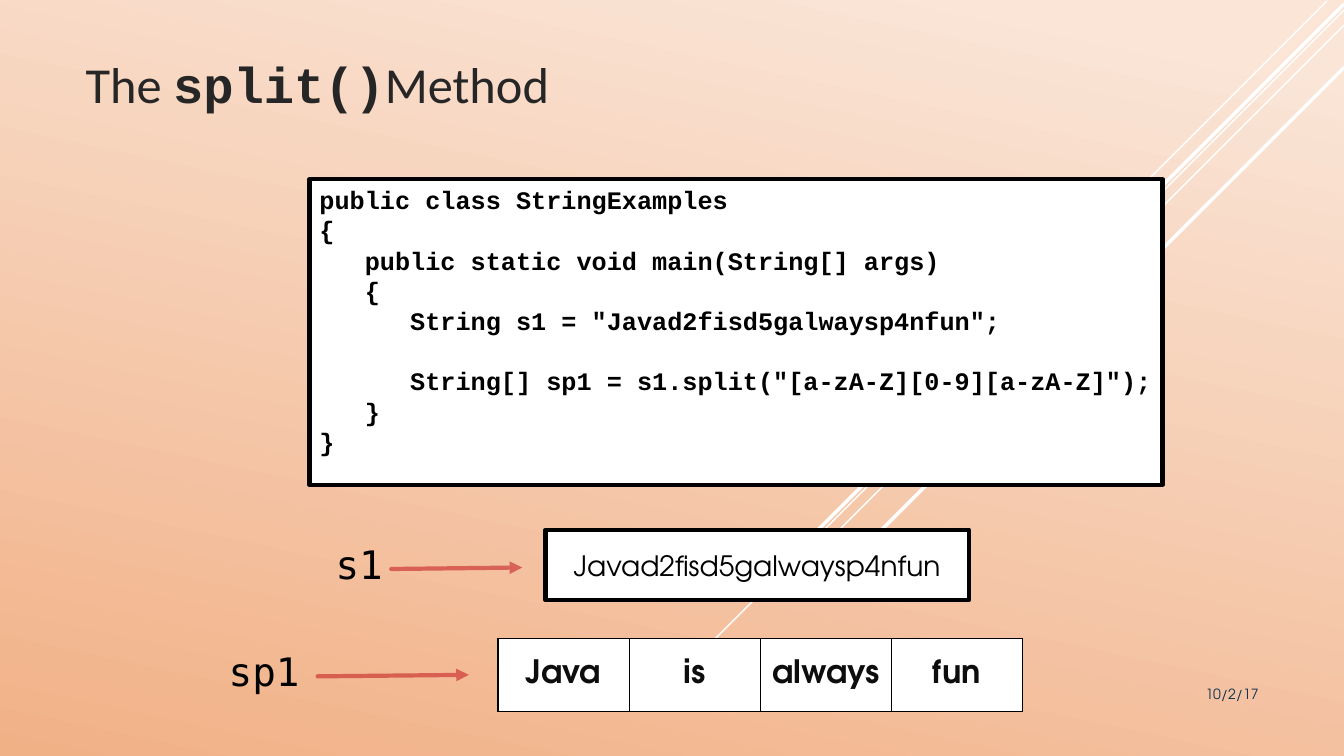
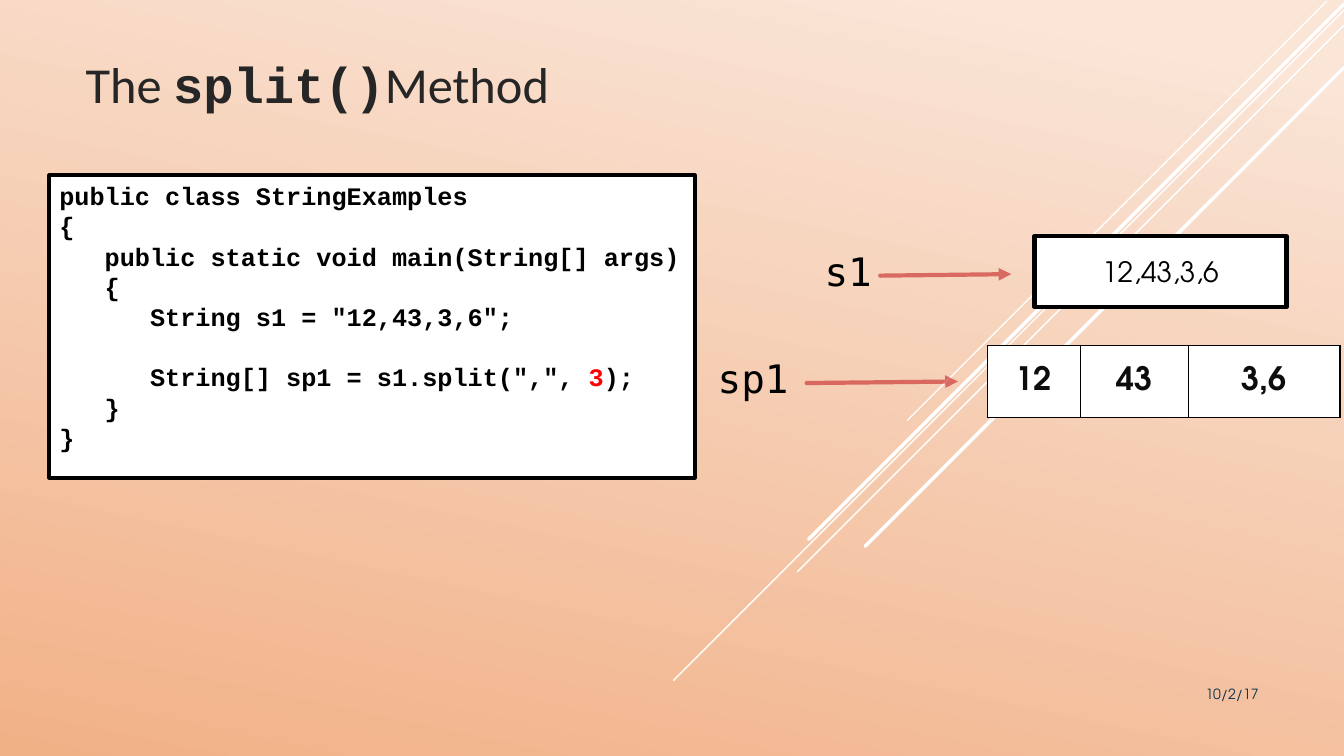
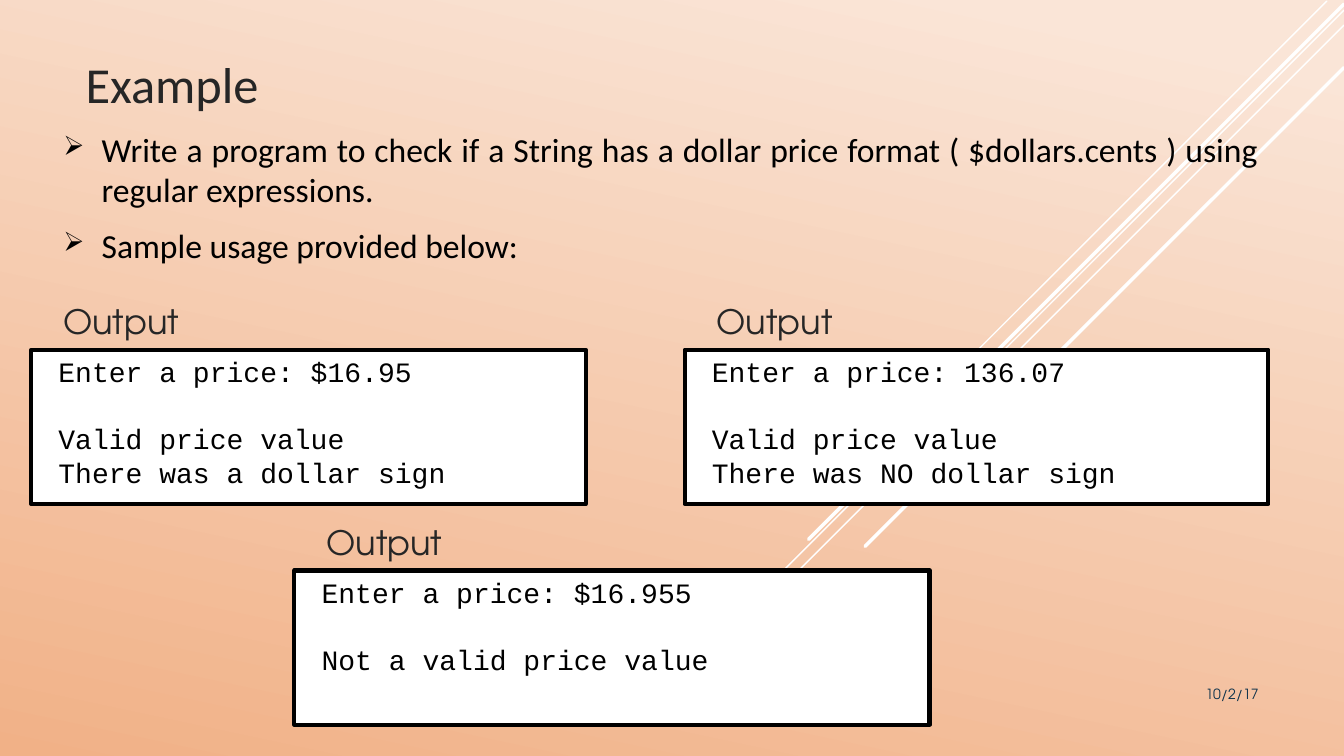
"""Build three slides on splitting strings and checking a price format."""
from typing import NamedTuple

from lxml import etree
from pptx import Presentation
from pptx import util as u
from pptx.dml.color import RGBColor
from pptx.enum import shapes, text
from pptx.oxml.ns import qn

BLACK = RGBColor(0x00, 0x00, 0x00)
WHITE = RGBColor(0xFF, 0xFF, 0xFF)
PEACH_LIGHT = RGBColor(0xFA, 0xE5, 0xD7)
PEACH_DARK = RGBColor(0xF1, 0xB1, 0x87)
CHARCOAL = RGBColor(0x26, 0x26, 0x26)
INK = RGBColor(0x0D, 0x0D, 0x0D)
NAVY = RGBColor(0x0A, 0x30, 0x4A)
CRIMSON = RGBColor(0xC6, 0x23, 0x24)
RED = RGBColor(0xFF, 0x00, 0x00)

BODY, CODE, MONO, ROUND = "Calibri", "Courier New", "DejaVu Sans Mono", "TeX Gyre Adventor"
COLUMNS, ROWS = 133.3, 75
CELL = u.Inches(0.1)
LEFT, CENTER, RIGHT, JUSTIFY = (
    text.PP_ALIGN.LEFT, text.PP_ALIGN.CENTER, text.PP_ALIGN.RIGHT, text.PP_ALIGN.JUSTIFY)
TOP, MIDDLE, BOTTOM = text.MSO_ANCHOR.TOP, text.MSO_ANCHOR.MIDDLE, text.MSO_ANCHOR.BOTTOM


class Box(NamedTuple):
    """Place and size in grid columns and rows."""
    x: float
    y: float
    w: float
    h: float


class Style(NamedTuple):
    """Look of a paragraph."""
    font: str
    size: float
    color: RGBColor = BLACK
    bold: bool = False
    align: text.PP_ALIGN = LEFT


class Stripe(NamedTuple):
    """Diagonal line that falls as far as it runs left."""
    x: float
    y: float
    run: float
    weight: float


class Split(NamedTuple):
    """Slide showing code, the string it holds and the words it yields."""
    code_box: Box
    code: str
    accent: str
    x: float
    y: float
    value: str
    value_w: float
    words: list[str]
    word_w: list[float]


class Output(NamedTuple):
    """Console output panel."""
    x: float
    y: float
    w: float
    lines: str


STRIPES = [
    Stripe(131.6, 0.1, 41.6, 1),
    Stripe(133.3, 1, 66.5, 1),
    Stripe(133.3, 2.5, 54.2, 1),
    Stripe(133.3, 0.4, 53.1, 2.5),
    Stripe(133.3, 6.7, 47.5, 2.5),
]
TITLE = Style(BODY, 36, CHARCOAL)
DATE = Style(ROUND, 10, NAVY, align=RIGHT)
LISTING = Style(CODE, 18, bold=True)
CONSOLE = Style(CODE, 20)
LABEL = Style(MONO, 28)
VALUE = Style(ROUND, 20, align=CENTER)
WORD = Style(ROUND, 23, INK, True, CENTER)
BULLET = Style(BODY, 24, align=JUSTIFY)
HEADING = Style(ROUND, 24, CHARCOAL, align=JUSTIFY)

SPLITS = [
    Split(Box(30.7, 17.8, 84.6, 30.3), '''public class StringExamples
{
   public static void main(String[] args)
   {
      String s1 = "Javad2fisd5galwaysp4nfun";

      String[] sp1 = s1.split("[a-zA-Z][0-9][a-zA-Z]");
   }
}''', "", 32.3, 53.1, "Javad2fisd5galwaysp4nfun", 42,
          ["Java", "is", "always", "fun"], [13] * 4),
    Split(Box(4.9, 17.4, 64, 30), '''public class StringExamples
{
   public static void main(String[] args)
   {
      String s1 = "12,43,3,6";

      String[] sp1 = s1.split(",", 3);
   }
}''', " 3", 80.8, 24, "12,43,3,6", 25, ["12", "43", "3,6"], [9.3, 10.7, 15]),
]
BULLETS = [
    "Write a program to check if a String has a dollar price format ( $dollars.cents ) "
    "using regular expressions.",
    "Sample usage provided below:",
]
OUTPUTS = [
    Output(3.1, 34.7, 55, "Enter a price: $16.95\n\nValid price value\nThere was a dollar sign"),
    Output(67.9, 34.7, 57.9,
           "Enter a price: 136.07\n\nValid price value\nThere was NO dollar sign"),
    Output(29.2, 56.6, 63, "Enter a price: $16.955\n\nNot a valid price value"),
]


def grid(*cells: float) -> list[u.Emu]:
    """Turn grid cells into lengths."""
    return [u.Emu(round(c * CELL)) for c in cells]


def style(p, look: Style) -> None:
    """Apply a look to a whole paragraph."""
    p.alignment = look.align
    p.font.name, p.font.size, p.font.bold = look.font, u.Pt(look.size), look.bold
    p.font.color.rgb = look.color


def add_text(s, box: Box, content: str, look: Style, anchor=TOP):
    """Add a text box with one paragraph and return its frame."""
    tf = s.shapes.add_textbox(*grid(*box)).text_frame
    tf.word_wrap, tf.vertical_anchor = True, anchor
    p = tf.paragraphs[0]
    p.text = content
    style(p, look)
    return tf


def add_panel(s, box: Box, anchor=TOP):
    """Add a white panel with a black frame and return its text frame."""
    sp = s.shapes.add_shape(shapes.MSO_SHAPE.RECTANGLE, *grid(*box))
    sp.shadow.inherit = False
    sp.fill.solid()
    sp.fill.fore_color.rgb = WHITE
    sp.line.color.rgb, sp.line.width = BLACK, u.Pt(3)
    tf = sp.text_frame
    tf.word_wrap, tf.vertical_anchor = True, anchor
    return tf


def write_lines(tf, source: str, look: Style, accent: str = "") -> None:
    """Write one paragraph per line, turning empty lines into space before."""
    gap, p = 0.0, None
    for line in source.split("\n"):
        if not line:
            gap = 1.2 * look.size
            continue
        p = tf.add_paragraph() if p is not None else tf.paragraphs[0]
        pieces = line.partition(accent) if accent else (line,)
        for piece in filter(None, pieces):
            r = p.add_run()
            r.text = piece
            if piece == accent:
                r.font.color.rgb = RED
        style(p, look)
        if gap:
            p.space_before, gap = u.Pt(gap), 0.0


def add_line(s, x1: float, y1: float, x2: float, y2: float, color: RGBColor, weight: float):
    """Add a straight line with round ends and return its line element."""
    c = s.shapes.add_connector(shapes.MSO_CONNECTOR.STRAIGHT, *grid(x1, y1, x2, y2))
    c.line.color.rgb, c.line.width = color, u.Pt(weight)
    ln = c._element.spPr.find(qn("a:ln"))
    ln.set("cap", "rnd")
    etree.SubElement(c._element.spPr, qn("a:effectLst"))
    return ln


def add_arrow(s, x: float, y: float, length: float) -> None:
    """Add a translucent arrow pointing right."""
    ln = add_line(s, x, y, x + length, y - 0.15, CRIMSON, 3)
    etree.SubElement(ln.find(".//" + qn("a:srgbClr")), qn("a:alpha"), val="60000")
    etree.SubElement(ln, qn("a:tailEnd"), type="triangle")


def add_words(s, x: float, y: float, words: list[str], widths: list[float]) -> None:
    """Add a one-row table of words."""
    h = 7.2
    frame = s.shapes.add_table(1, len(words), *grid(x, y, sum(widths), h))
    tbl = frame.table
    tbl.first_row = tbl.horz_banding = False
    tbl.rows[0].height = grid(h)[0]
    for col, width, cell, word in zip(tbl.columns, widths, tbl.rows[0].cells, words):
        col.width = grid(width)[0]
        cell.vertical_anchor = MIDDLE
        cell.margin_left = cell.margin_right = u.Inches(0.08)
        cell.margin_top = cell.margin_bottom = u.Inches(0.04)
        tc_pr = cell._tc.get_or_add_tcPr()
        for side in ("lnL", "lnR", "lnT", "lnB"):
            ln = etree.SubElement(tc_pr, qn("a:" + side), w=str(u.Pt(1)))
            fill = etree.SubElement(ln, qn("a:solidFill"))
            etree.SubElement(fill, qn("a:srgbClr"), val=str(BLACK))
        cell.fill.solid()
        cell.fill.fore_color.rgb = WHITE
        p = cell.text_frame.paragraphs[0]
        p.text = word
        style(p, WORD)


def new_slide(prs):
    """Add a slide with the shared background, stripes and date."""
    s = prs.slides.add_slide(prs.slide_layouts[6])
    fill = s.background.fill
    fill.gradient()
    fill.gradient_angle = 258
    for stop, color, place in zip(fill.gradient_stops, (PEACH_LIGHT, PEACH_DARK), (0.07, 1)):
        stop.color.rgb, stop.position = color, place
    for x, y, run, weight in STRIPES:
        add_line(s, x, y, x - run, y + run, WHITE, weight)
    add_text(s, Box(108.3, 67.5, 17.5, 4), "10/2/17", DATE)
    return s


def add_title(s, *pieces: str) -> None:
    """Add the title, setting a method call in bold code type."""
    tf = add_text(s, Box(7.5, 1.5, 108, 10.3), "", TITLE, BOTTOM)
    for piece in pieces:
        r = tf.paragraphs[0].add_run()
        r.text = piece
        if piece.endswith("()"):
            r.font.name, r.font.bold = CODE, True


def split_slide(prs, split: Split) -> None:
    """Draw code with the string and the array it makes."""
    s = new_slide(prs)
    write_lines(add_panel(s, split.code_box), split.code, LISTING, split.accent)
    add_title(s, "The ", "split()", "Method")
    x, y = split.x, split.y
    add_text(s, Box(x, y, 8, 5.7), "s1", LABEL)
    add_arrow(s, x + 6.5, y + 3.35, 13)
    write_lines(add_panel(s, Box(x + 21.8, y - 0.55, split.value_w, 7), MIDDLE),
                split.value, VALUE)
    add_text(s, Box(x - 10.6, y + 10.65, 10.2, 5.7), "sp1", LABEL)
    add_arrow(s, x - 0.8, y + 14, 15)
    add_words(s, x + 17.1, y + 10.25, split.words, split.word_w)


def example_slide(prs) -> None:
    """Draw the exercise with its sample outputs."""
    s = new_slide(prs)
    add_title(s, "Example")
    tf = s.shapes.add_textbox(*grid(5.3, 12.3, 120.5, 17.1)).text_frame
    tf.word_wrap = True
    for i, bullet in enumerate(BULLETS):
        p = tf.add_paragraph() if i else tf.paragraphs[0]
        p.text = bullet
        p_pr = p._p.get_or_add_pPr()
        p_pr.set("marL", str(u.Inches(0.38)))
        p_pr.set("indent", str(-u.Inches(0.38)))
        color = etree.SubElement(p_pr, qn("a:buClr"))
        etree.SubElement(color, qn("a:srgbClr"), val=str(BLACK))
        etree.SubElement(p_pr, qn("a:buSzPct"), val="80000")
        etree.SubElement(p_pr, qn("a:buChar"), char="➢")
        style(p, BULLET)
        p.space_after = u.Pt(6)
        if i:
            p.space_before = u.Pt(4.8)
    for x, y, w, lines in OUTPUTS:
        panel = add_panel(s, Box(x, y, w, 15.3))
        panel.margin_left = u.Inches(0.27)
        write_lines(panel, lines, CONSOLE)
        add_text(s, Box(x + 2.2, y - 5.3, 16.7, 5.4), "Output", HEADING)


def main() -> None:
    """Build and save the presentation."""
    prs = Presentation()
    prs.slide_width, prs.slide_height = grid(COLUMNS, ROWS)
    for split in SPLITS:
        split_slide(prs, split)
    example_slide(prs)
    prs.save("out.pptx")


if __name__ == "__main__":
    main()
